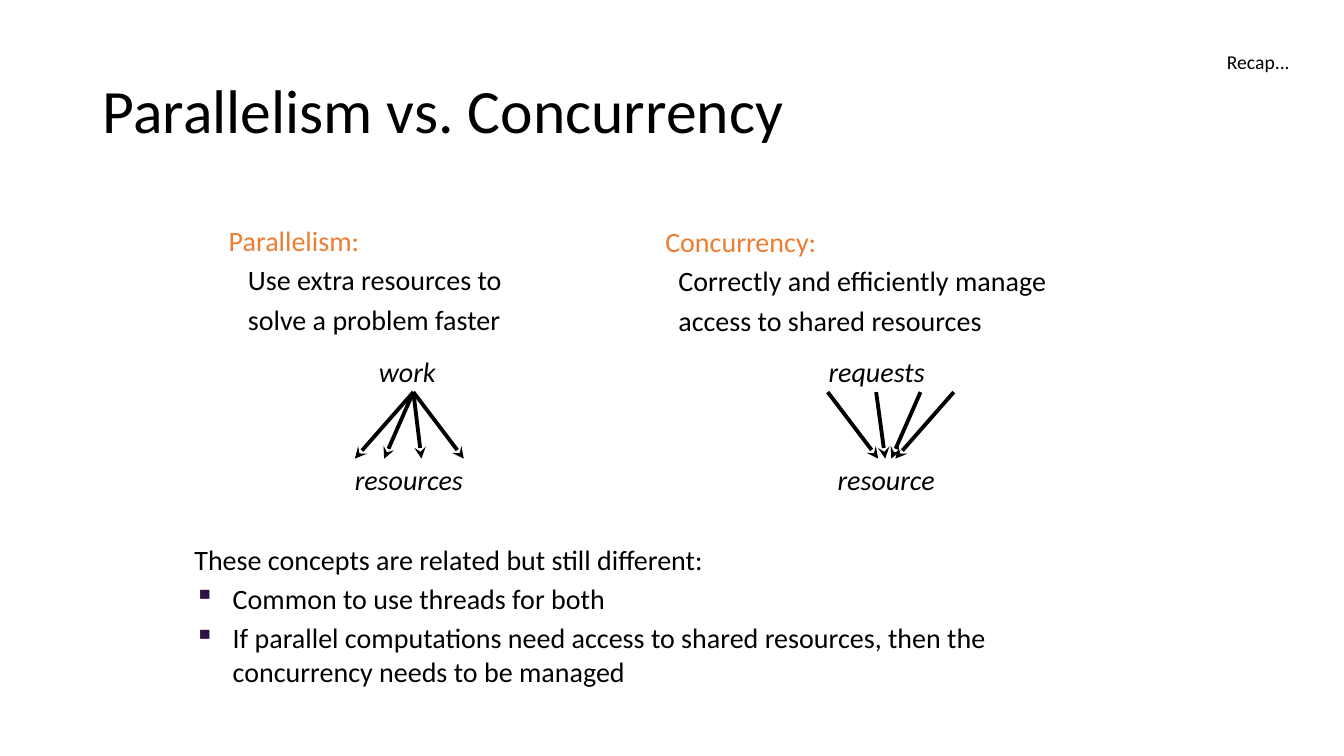
from pptx import Presentation
from pptx.dml.color import RGBColor
from pptx.enum.shapes import MSO_CONNECTOR
from pptx.enum.text import MSO_ANCHOR, MSO_AUTO_SIZE, PP_ALIGN
from pptx.oxml.ns import qn
from pptx.util import Inches, Pt
from lxml.etree import SubElement

BLACK, ORANGE, PLUM = "000000", "ED7D31", "2F1343"


def color(code):
    return RGBColor.from_string(code)


def write(shape, lines, size=20, italic=False, wrap=True):
    """Fill a shape with lines of (text, colour, left margin, indent, bullet)."""
    frame = shape.text_frame
    frame.word_wrap = wrap
    frame.auto_size = MSO_AUTO_SIZE.NONE
    for i, (text, code, margin, indent, bullet) in enumerate(lines):
        para = frame.add_paragraph() if i else frame.paragraphs[0]
        para.alignment = PP_ALIGN.LEFT
        para.space_before = Pt(4 if i else 0)
        props = para._p.get_or_add_pPr()
        props.set("marL", str(Inches(margin)))
        props.set("indent", str(Inches(indent)))
        if bullet:
            tint = SubElement(props, qn("a:buClr"))
            SubElement(tint, qn("a:srgbClr")).set("val", PLUM)
            SubElement(props, qn("a:buChar")).set("char", bullet)
        run = para.add_run()
        run.text = text
        font = run.font
        font.name, font.size, font.italic = "Calibri", Pt(size), italic
        font.color.rgb = color(code)
    return frame


deck = Presentation()
deck.slide_width, deck.slide_height = Inches(13.33), Inches(7.5)
slide = deck.slides.add_slide(deck.slide_layouts[5])
shapes = slide.shapes

# Title
title = shapes.title
title.left, title.top = Inches(0.92), Inches(0.4)
title.width, title.height = Inches(11.5), Inches(1.45)
frame = write(title, [("Parallelism vs. Concurrency", BLACK, 0, 0, None)], 44)
frame.vertical_anchor = MSO_ANCHOR.MIDDLE
frame.paragraphs[0].line_spacing = 0.9

# Recap tag
tag = shapes.add_textbox(Inches(12.07), Inches(0.4), Inches(0.92), Inches(0.44))
frame = write(tag, [("Recap...", BLACK, 0, 0, None)], 14)
frame.margin_top = frame.margin_bottom = Inches(0.1)

# Definitions
terms = [
    (2.17, 2.17, 3.92, 1.05, 0.19, "Parallelism:",
     ["Use extra resources to", "solve a problem faster"]),
    (6.5, 2.18, 5, 1.15, 0.13, "Concurrency:",
     ["Correctly and efficiently manage", "access to shared resources"]),
]
for x, y, w, h, margin, term, texts in terms:
    box = shapes.add_textbox(Inches(x), Inches(y), Inches(w), Inches(h))
    write(box, [(term, ORANGE, 0, 0, None)]
          + [(text, BLACK, margin, 0, None) for text in texts])

# Diagram labels
labels = [("work", 3.66, 3.47, 0.79), ("resources", 3.42, 4.54, 1.28),
          ("requests", 8.12, 3.47, 1.16), ("resource", 8.21, 4.54, 1.17)]
for text, x, y, w in labels:
    box = shapes.add_textbox(Inches(x), Inches(y), Inches(w), Inches(0.44))
    write(box, [(text, BLACK, 0, 0, None)], italic=True, wrap=False)

# Arrows: one task fans out, many requests converge
fan = [(4.1, x) for x in (3.52, 3.81, 4.18, 4.6)]
merge = [(8.21, 8.71), (8.69, 8.78), (9.13, 8.84), (9.46, 8.88)]
for start, end in fan + merge:
    arrow = shapes.add_connector(MSO_CONNECTOR.STRAIGHT, Inches(start),
                                 Inches(3.89), Inches(end), Inches(4.55))
    arrow.line.color.rgb = color(BLACK)
    arrow.line.width = Pt(2.75)
    SubElement(arrow.line._get_or_add_ln(), qn("a:tailEnd")).set("type", "stealth")
    SubElement(arrow._element.spPr, qn("a:effectLst"))

# Summary
box = shapes.add_textbox(Inches(1.83), Inches(5.33), Inches(9), Inches(1.83))
write(box, [
    ("These concepts are related but still different:", BLACK, 0.38, -0.38, None),
    ("Common to use threads for both", BLACK, 0.38, -0.38, "▪"),
    ("If parallel computations need access to shared resources, "
     "then the concurrency needs to be managed", BLACK, 0.38, -0.38, "▪"),
])

deck.save("out.pptx")
